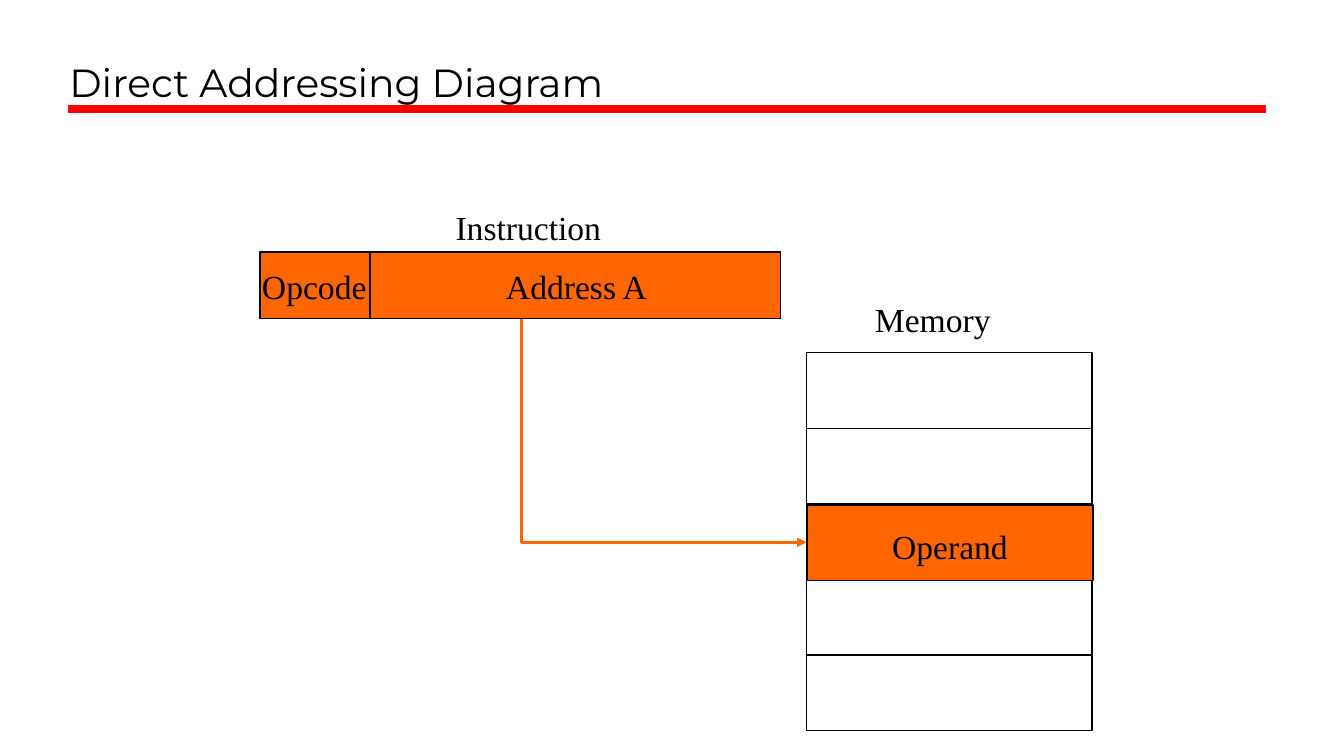
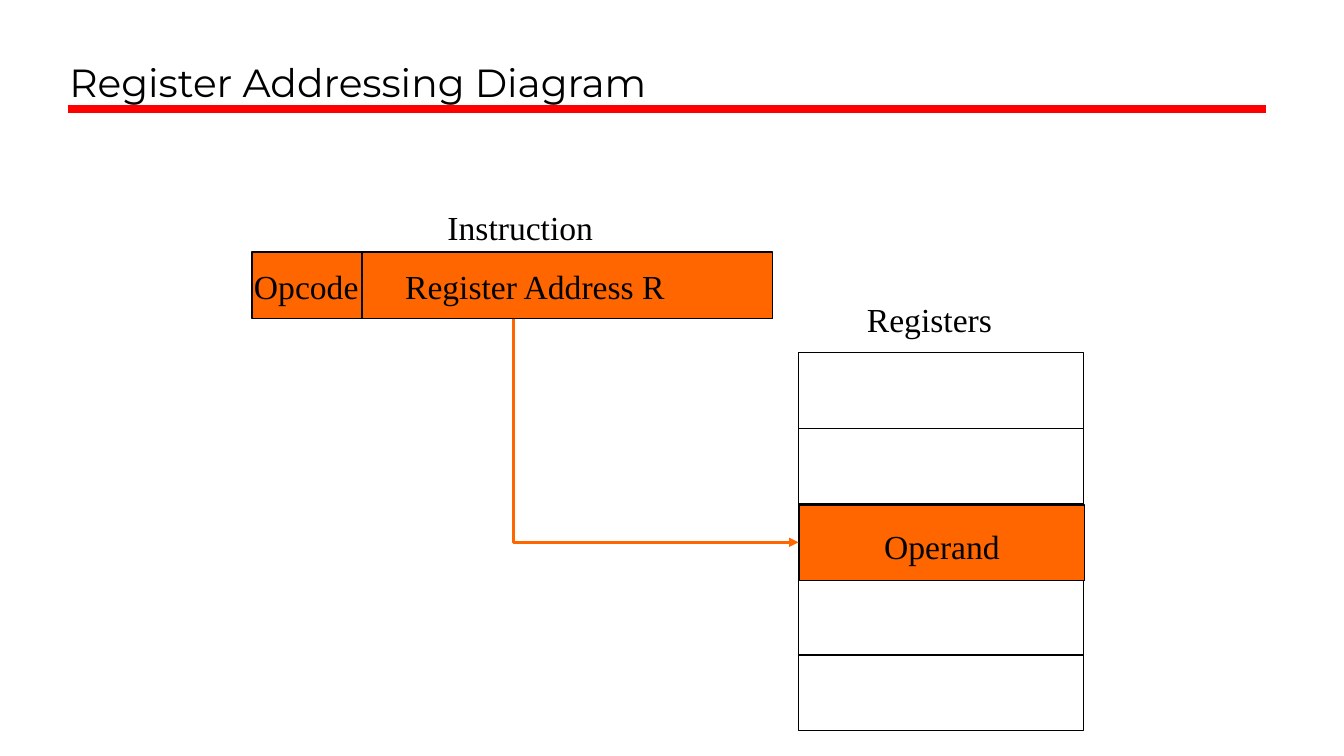
from pptx import Presentation
from pptx.dml.color import RGBColor
from pptx.enum import shapes as sh, text as tx
from pptx.oxml.ns import qn
from pptx.util import Inches, Pt
from lxml import etree

BLACK = RGBColor(0, 0, 0)
RED = RGBColor(0xFF, 0, 0)
ORANGE = RGBColor(0xFF, 0x66, 0)
HEAD = "Montserrat"
BODY = "Times New Roman"
CELL_W, CELL_H = 2.83, 0.75
BAR_W, BAR_H = 5.16, 0.66


def write(slide, box, words, font=BODY, size=24, wrap=False):
    shape = slide.shapes.add_textbox(*map(Inches, box))
    frame = shape.text_frame
    frame.text = words
    frame.word_wrap = wrap
    if not wrap:
        frame.auto_size = tx.MSO_AUTO_SIZE.SHAPE_TO_FIT_TEXT
    face = frame.paragraphs[0].runs[0].font
    face.name, face.size = font, Pt(size)
    face.color.rgb = BLACK
    return frame


def rect(slide, x, y, wide, high, fill=None):
    shape = slide.shapes.add_shape(
        sh.MSO_SHAPE.RECTANGLE, *map(Inches, (x, y, wide, high)))
    shape.shadow.inherit = False
    if fill is None:
        shape.fill.background()
    else:
        shape.fill.solid()
        shape.fill.fore_color.rgb = fill
    shape.line.color.rgb = BLACK
    shape.line.width = Pt(1)


def rule(slide, start, end, color, width):
    line = slide.shapes.add_connector(
        sh.MSO_CONNECTOR.STRAIGHT, *map(Inches, start + end))
    line.line.color.rgb = color
    line.line.width = Pt(width)
    etree.SubElement(line._element.spPr, qn("a:effectLst"))


def title(slide, words):
    rule(slide, (0.67, 1.08), (12.56, 1.08), RED, 6)
    frame = write(slide, (0.59, 0.17, 11.96, 0.92), words, HEAD, 28, True)
    frame.vertical_anchor = tx.MSO_ANCHOR.BOTTOM


def order(slide, x, y, field, inset, wide):
    write(slide, (x + 1.84, y - 0.5, 1.66, 0.5), "Instruction")
    rect(slide, x, y, BAR_W, BAR_H, ORANGE)
    rule(slide, (x + 1.09, y), (x + 1.09, y + BAR_H), BLACK, 1)
    write(slide, (x - 0.08, y + 0.09, 1.25, 0.5), "Opcode")
    write(slide, (x + inset, y + 0.09, wide, 0.5), field)


def store(slide, x, y, name, wide):
    write(slide, (x + 0.58, y - 0.58, wide, 0.5), name)
    for row in range(5):
        rect(slide, x, y + row * CELL_H, CELL_W, CELL_H)
    top = y + 2 * CELL_H
    rect(slide, x + 0.01, top + 0.01, CELL_W, CELL_H, ORANGE)
    write(slide, (x + 0.75, top + 0.17, 1.36, 0.5), "Operand")


def arrow(slide, start, end):
    x, y = map(Inches, start)
    right, low = map(Inches, end)
    path = slide.shapes.build_freeform(x, y)
    path.add_line_segments([(x, low), (right, low)], close=False)
    shape = path.convert_to_shape()
    shape.shadow.inherit = False
    shape.fill.background()
    shape.line.color.rgb = ORANGE
    shape.line.width = Pt(2.25)
    etree.SubElement(shape.line._get_or_add_ln(), qn("a:tailEnd"), type="triangle")


def diagram(deck, words, x, field, inset, wide, name, span):
    slide = deck.slides.add_slide(deck.slide_layouts[6])
    title(slide, words)
    order(slide, x, 2.5, field, inset, wide)
    store(slide, x + 5.42, 3.5, name, span)
    arrow(slide, (x + 2.59, 2.5 + BAR_H), (x + 5.42, 5.38))


def main():
    deck = Presentation()
    deck.slide_width, deck.slide_height = Inches(13.33), Inches(7.5)
    diagram(deck, "Direct Addressing Diagram", 2.58,
            "Address A", 2.34, 1.61, "Memory", 1.36)
    diagram(deck, "Register Addressing Diagram", 2.5,
            "Register Address R", 1.42, 2.8, "Registers", 1.45)
    deck.save("out.pptx")


if __name__ == "__main__":
    main()
